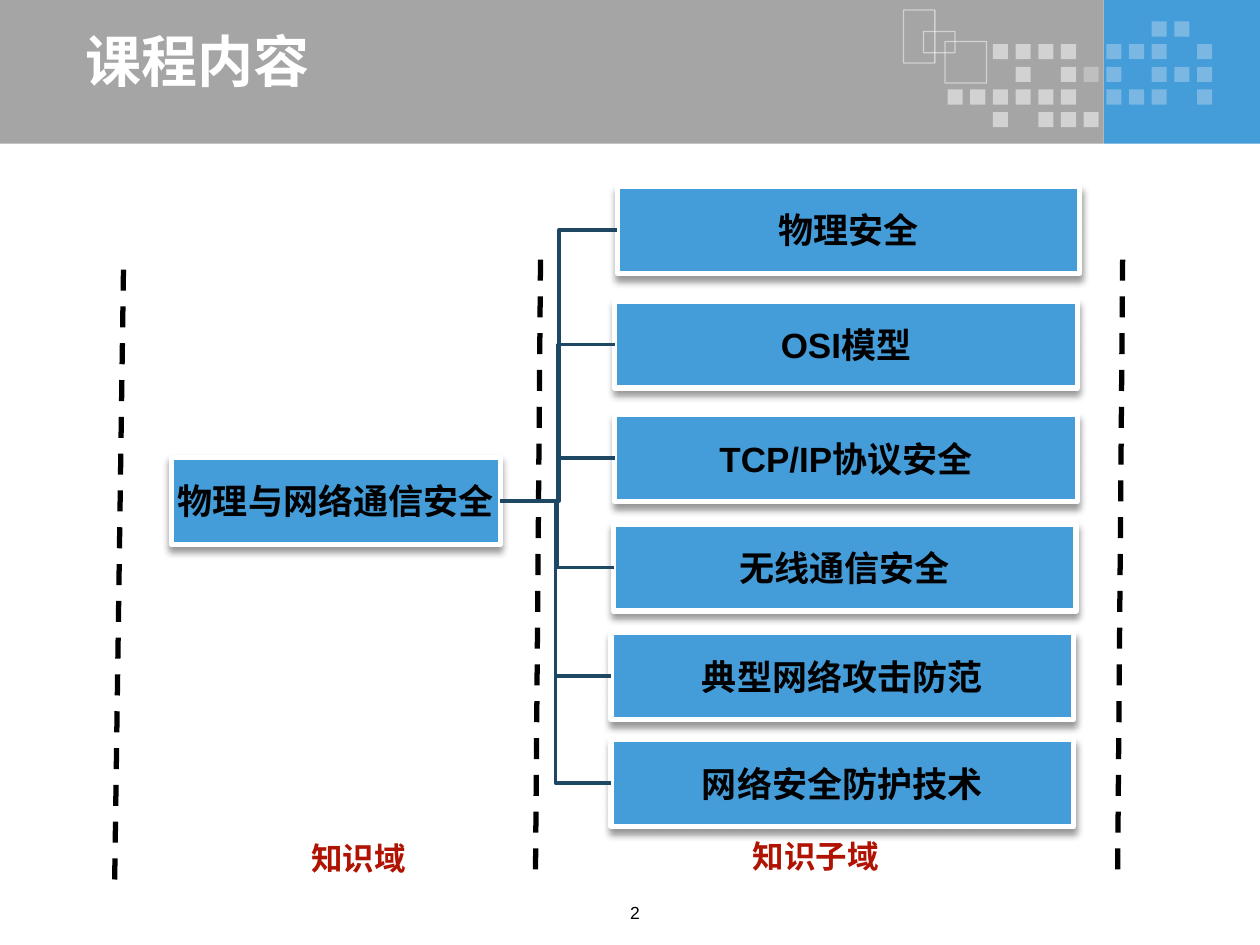
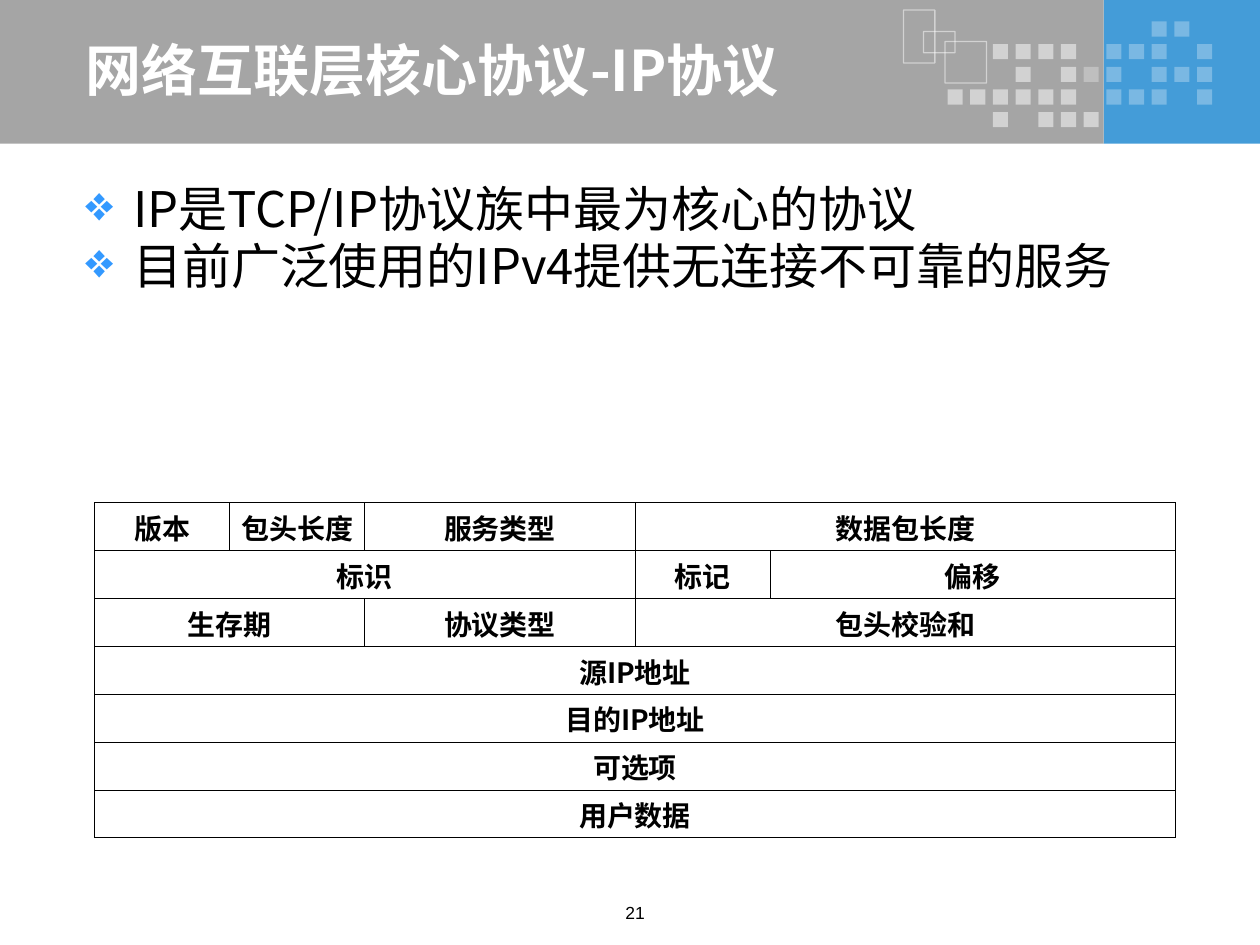
from dataclasses import dataclass
from itertools import accumulate

from lxml.etree import SubElement
from pptx import Presentation
from pptx.dml.color import RGBColor
from pptx.enum.dml import MSO_LINE
from pptx.enum.shapes import MSO_CONNECTOR as Link, MSO_SHAPE
from pptx.enum.text import MSO_ANCHOR as Anchor, PP_ALIGN as Align
from pptx.oxml.ns import qn
from pptx.util import Inches, Pt


@dataclass(frozen=True)
class Theme:
    blue: str = "449CD8"
    grey: str = "A5A5A5"
    white: str = "FFFFFF"
    black: str = "000000"
    navy: str = "1E4763"
    red: str = "B01302"
    bullet: str = "3399FF"
    latin: str = "Arial"
    cjk: str = "Noto Sans CJK SC"
    title: int = 32
    body: int = 28
    box: int = 20
    label: int = 18
    cell: int = 16
    page: int = 10


T = Theme()
WIDTH, HEIGHT = 10, 7.5
BAND_HEIGHT, BAND_SPLIT = 1.14, 8.76

# Header mosaic: "#" is a bright square, "o" a faint one
MOSAIC = [
    ".........oo.",
    "..####.ooo.o",
    "...#.#oo.ooo",
    "######.ooo.o",
    "..#.###.....",
]
MOSAIC_LEFT, MOSAIC_TOP, MOSAIC_STEP, SQUARE = 7.52, 0.17, 0.18, 0.12
MOSAIC_ALPHA = {"#": 50, "o": 29}
FRAMES = [(7.17, 0.08, 0.25, 0.42), (7.33, 0.25, 0.25, 0.17), (7.5, 0.33, 0.33, 0.33)]

COURSE = {
    "title": "课程内容", "title_top": 0.21, "page": "2",
    "domain": ("物理与网络通信安全", 1.36, 3.63),
    "subdomains": [  # text, left, top
        ("物理安全", 4.9, 1.48),
        ("OSI模型", 4.88, 2.39),
        ("TCP/IP协议安全", 4.88, 3.29),
        ("无线通信安全", 4.87, 4.16),
        ("典型网络攻击防范", 4.85, 5.02),
        ("网络安全防护技术", 4.85, 5.87),
    ],
    "dividers": [(4.29, 2.06, 4.25, 6.92), (8.91, 2.06, 8.87, 7), (0.98, 2.14, 0.91, 7)],
    "labels": [("知识域", (2.25, 6.61, 1.19, 0.4)), ("知识子域", (5.53, 6.59, 1.89, 0.4))],
}
DOMAIN_WIDTH, SUBDOMAIN_WIDTH, BOX_HEIGHT = 2.61, 3.67, 0.69

IP = {
    "title": "网络互联层核心协议-IP协议", "title_top": 0.28, "page": "21",
    "points": ["IP是TCP/IP协议族中最为核心的协议", "目前广泛使用的IPv4提供无连接不可靠的服务"],
    "header_columns": [1, 1, 2, 1, 3],  # shares of the table's width
    "header_rows": [  # text, columns covered
        [("版本", 1), ("包头长度", 1), ("服务类型", 1), ("数据包长度", 2)],
        [("标识", 3), ("标记", 1), ("偏移", 1)],
        [("生存期", 2), ("协议类型", 1), ("包头校验和", 2)],
        [("源IP地址", 5)],
        [("目的IP地址", 5)],
        [("可选项", 5)],
        [("用户数据", 5)],
    ],
}
TABLE_AT = (0.75, 3.99, 8.58, 2.66)


def rgb(colour):
    return RGBColor.from_string(colour)


def inches(lengths):
    return [Inches(length) for length in lengths]


def set_alpha(shape, percent):
    for colour in shape._element.spPr.iter(qn("a:srgbClr")):
        SubElement(colour, qn("a:alpha"), val=str(percent * 1000))


def write(paragraph, text, size, colour=T.black, font=T.cjk, bold=False, align=None):
    paragraph.alignment = align
    run = paragraph.add_run()
    run.text = text
    run.font.size, run.font.bold, run.font.name = Pt(size), bold, font
    run.font.color.rgb = rgb(colour)
    SubElement(run._r.get_or_add_rPr(), qn("a:ea"), typeface=T.cjk)


def add_rect(slide, at, fill=None, line=None, line_width=0.75):
    rect = slide.shapes.add_shape(MSO_SHAPE.RECTANGLE, *inches(at))
    rect.shadow.inherit = False
    if fill:
        rect.fill.solid()
        rect.fill.fore_color.rgb = rgb(fill)
    else:
        rect.fill.background()
    if line:
        rect.line.color.rgb = rgb(line)
        rect.line.width = Pt(line_width)
    else:
        rect.line.fill.background()
    return rect


def add_text(slide, at, anchor=Anchor.TOP):
    frame = slide.shapes.add_textbox(*inches(at)).text_frame
    frame.word_wrap = True
    frame.vertical_anchor = anchor
    return frame


def add_line(slide, kind, ends, colour, width):
    line = slide.shapes.add_connector(kind, *inches(ends))
    line.line.color.rgb = rgb(colour)
    line.line.width = Pt(width)
    SubElement(line._element.spPr, qn("a:effectLst"))
    return line


def add_header(slide):
    add_rect(slide, (BAND_SPLIT, 0, WIDTH - BAND_SPLIT, BAND_HEIGHT), T.blue)
    add_rect(slide, (0, 0, BAND_SPLIT, BAND_HEIGHT), T.grey)
    for row, marks in enumerate(MOSAIC):
        for column, mark in enumerate(marks):
            if mark in MOSAIC_ALPHA:
                left = MOSAIC_LEFT + column * MOSAIC_STEP
                top = MOSAIC_TOP + row * MOSAIC_STEP
                square = add_rect(slide, (left, top, SQUARE, SQUARE), T.white)
                set_alpha(square, MOSAIC_ALPHA[mark])
    for at in FRAMES:
        set_alpha(add_rect(slide, at, line=T.white), 50)


def start_slide(deck, content):
    """Add a slide with the shared header, title and page number."""
    slide = deck.slides.add_slide(deck.slide_layouts[6])
    add_header(slide)
    title = add_text(slide, (0.58, content["title_top"], 7.76, 0.53), Anchor.MIDDLE)
    write(title.paragraphs[0], content["title"], T.title, T.white, bold=True)
    page = add_text(slide, (4.58, 7.11, 0.92, 0.29))
    write(page.paragraphs[0], content["page"], T.page, font=T.latin, align=Align.CENTER)
    return slide


def add_box(slide, text, left, top, width):
    box = add_rect(slide, (left, top, width, BOX_HEIGHT), T.blue, T.white, 3)
    effects = box._element.spPr.find(qn("a:effectLst"))
    shadow = SubElement(effects, qn("a:outerShdw"), blurRad=str(Pt(4)), dist=str(Pt(3)),
                        dir="5400000", algn="t", rotWithShape="0")
    SubElement(SubElement(shadow, qn("a:srgbClr"), val=T.black), qn("a:alpha"), val="40000")
    frame = box.text_frame
    frame.word_wrap = False
    frame.vertical_anchor = Anchor.MIDDLE
    write(frame.paragraphs[0], text, T.box, font=T.latin, bold=True, align=Align.CENTER)
    return box


def build_course(deck):
    slide = start_slide(deck, COURSE)
    domain = add_box(slide, *COURSE["domain"], DOMAIN_WIDTH)
    for ends in COURSE["dividers"]:
        divider = add_line(slide, Link.STRAIGHT, ends, T.black, 3)
        divider.line.dash_style = MSO_LINE.DASH
    for text, at in COURSE["labels"]:
        label = add_text(slide, at).paragraphs[0]
        write(label, text, T.label, T.red, T.latin, True, Align.CENTER)
    right_side, left_side = 3, 1
    for subdomain in COURSE["subdomains"]:
        box = add_box(slide, *subdomain, SUBDOMAIN_WIDTH)
        branch = add_line(slide, Link.ELBOW, (0, 0, 1, 1), T.navy, 2)
        branch.begin_connect(domain, right_side)
        branch.end_connect(box, left_side)


def add_points(slide, points):
    frame = add_text(slide, (0.58, 1.42, 8.96, 1.3))
    for index, point in enumerate(points):
        paragraph = frame.add_paragraph() if index else frame.paragraphs[0]
        paragraph.line_spacing = 0.9
        paragraph.space_before = Pt(2.5)
        write(paragraph, point, T.body)
        props = paragraph._p.get_or_add_pPr()
        props.set("marL", str(Inches(0.38)))
        props.set("indent", str(Inches(-0.38)))
        SubElement(SubElement(props, qn("a:buClr")), qn("a:srgbClr"), val=T.bullet)
        SubElement(props, qn("a:buChar"), char="❖")


def style_cell(cell):
    cell.margin_left = cell.margin_right = cell.margin_top = Inches(0.01)
    cell.margin_bottom = 0
    cell.vertical_anchor = Anchor.MIDDLE
    props = cell._tc.get_or_add_tcPr()
    for side in ("lnL", "lnR", "lnT", "lnB"):
        border = SubElement(props, qn(f"a:{side}"), w=str(Pt(0.5)))
        SubElement(SubElement(border, qn("a:solidFill")), qn("a:srgbClr"), val=T.black)
    cell.fill.background()


def add_packet_table(slide, columns, rows):
    table = slide.shapes.add_table(len(rows), len(columns), *inches(TABLE_AT)).table
    table.first_row = table.horz_banding = False
    for column, share in zip(table.columns, columns):
        column.width = Inches(TABLE_AT[2] * share / sum(columns))
    for cell in table.iter_cells():
        style_cell(cell)
    for row, fields in enumerate(rows):
        ends = accumulate(span for _, span in fields)
        for (text, span), end in zip(fields, ends):
            cell = table.cell(row, end - span)
            if span > 1:
                cell.merge(table.cell(row, end - 1))
            write(cell.text_frame.paragraphs[0], text, T.cell, bold=True, align=Align.CENTER)


def build_ip(deck):
    slide = start_slide(deck, IP)
    add_points(slide, IP["points"])
    add_packet_table(slide, IP["header_columns"], IP["header_rows"])


def main():
    deck = Presentation()
    deck.slide_width, deck.slide_height = inches((WIDTH, HEIGHT))
    build_course(deck)
    build_ip(deck)
    deck.save("out.pptx")


if __name__ == "__main__":
    main()
